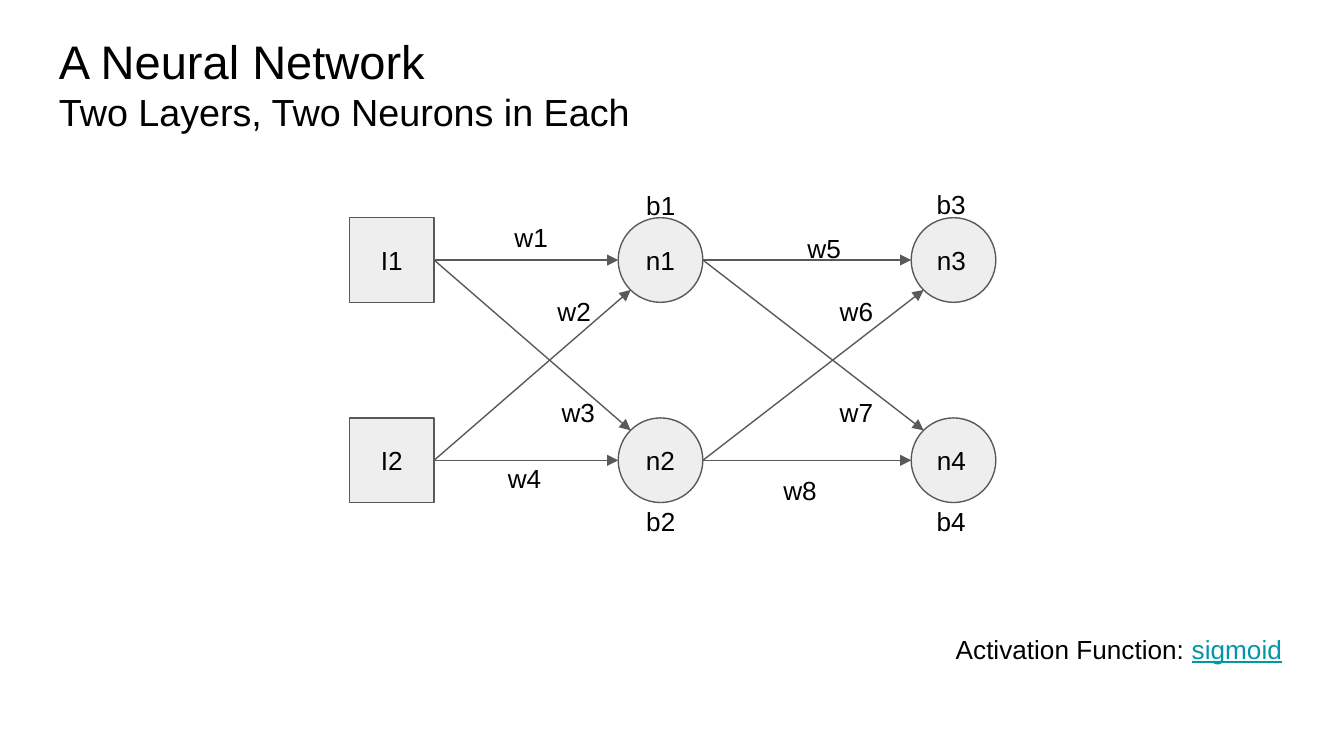
from lxml import etree
from pptx import Presentation
from pptx.dml.color import RGBColor
from pptx.enum.shapes import MSO_CONNECTOR, MSO_SHAPE
from pptx.enum.text import MSO_ANCHOR, PP_ALIGN
from pptx.oxml.ns import qn
from pptx.util import Inches, Pt

SQUARE, CIRCLE = MSO_SHAPE.RECTANGLE, MSO_SHAPE.OVAL
STRAIGHT = MSO_CONNECTOR.STRAIGHT
TOP, MIDDLE = MSO_ANCHOR.TOP, MSO_ANCHOR.MIDDLE
LEFT, CENTER = PP_ALIGN.LEFT, PP_ALIGN.CENTER
RIGHT_SIDE = 3

BLACK, GREY, PALE, TEAL = "000000", "595959", "EEEEEE", "0097A7"
WIDTH = 10
HEIGHT = WIDTH * 9 / 16
NODE = 0.63
COLUMNS = [2.6, 4.6, 6.78]
ROWS = [1.62, 3.11]
DIAGONAL = NODE / 2 * (1 - 0.5 ** 0.5)

TITLE = [[("A Neural Network", {"size": 25.2})],
         [("Two Layers, Two Neurons in Each", {"size": 20.2})]]
FOOTER = [[("Activation Function: ", {}),
           ("sigmoid", {"color": TEAL, "underline": True})]]
LAYERS = [(SQUARE, CENTER, ["I1", "I2"]),
          (CIRCLE, CENTER, ["n1", "n2"]),
          (CIRCLE, LEFT, ["n3", "n4"])]
LABELS = [
    (0.63, 0.47, [("w1", 3.73, 1.55), ("w2", 4.05, 2.1), ("w3", 4.08, 2.85), ("w4", 3.68, 3.34)]),
    (0.45, 0.33, [("b1", 4.71, 1.31), ("b2", 4.71, 3.66), ("b3", 6.87, 1.3), ("b4", 6.87, 3.66)]),
    (0.63, 0.3, [("w5", 5.91, 1.63), ("w6", 6.15, 2.1), ("w7", 6.15, 2.85), ("w8", 5.73, 3.43)]),
]


def rgb(value):
    return RGBColor.from_string(value)


def write(box, paragraphs, align=LEFT, anchor=TOP):
    frame = box.text_frame
    frame.word_wrap = True
    frame.vertical_anchor = anchor
    for side in ("left", "top", "right", "bottom"):
        setattr(frame, "margin_" + side, Inches(0.1))
    for index, spans in enumerate(paragraphs):
        para = frame.add_paragraph() if index else frame.paragraphs[0]
        para.alignment = align
        for text, changes in spans:
            style = {"size": 14, "color": BLACK, "name": "Arial", **changes}
            span = para.add_run()
            span.text = text
            span.font.color.rgb = rgb(style.pop("color"))
            style["size"] = Pt(style["size"])
            for name, value in style.items():
                setattr(span.font, name, value)


def add_text(page, place, paragraphs, **options):
    box = page.shapes.add_textbox(*map(Inches, place))
    write(box, paragraphs, **options)


def add_node(page, kind, align, label, column, row):
    node = page.shapes.add_shape(kind, *map(Inches, (COLUMNS[column], ROWS[row], NODE, NODE)))
    node.shadow.inherit = False
    node.fill.solid()
    node.fill.fore_color.rgb = rgb(PALE)
    node.line.color.rgb = rgb(GREY)
    node.line.width = Pt(0.75)
    write(node, [[(label, {})]], align=align, anchor=MIDDLE)
    return node


def add_arrow(page, source, column, start, end):
    begin_x, begin_y = COLUMNS[column] + NODE, ROWS[start] + NODE / 2
    end_x, end_y = COLUMNS[column + 1], ROWS[end] + NODE / 2
    if start != end:
        end_x += DIAGONAL
        end_y = ROWS[end] + (DIAGONAL if end > start else NODE - DIAGONAL)
    arrow = page.shapes.add_connector(STRAIGHT, *map(Inches, (begin_x, begin_y, end_x, end_y)))
    if column == 0:
        arrow.begin_connect(source, RIGHT_SIDE)
    arrow.line.color.rgb = rgb(GREY)
    arrow.line.width = Pt(0.75)
    etree.SubElement(arrow.line._get_or_add_ln(), qn("a:tailEnd"), type="triangle")
    etree.SubElement(arrow._element.spPr, qn("a:effectLst"))


def main():
    deck = Presentation()
    deck.slide_width, deck.slide_height = Inches(WIDTH), Inches(HEIGHT)
    page = deck.slides.add_slide(deck.slide_layouts[6])

    add_text(page, (0.34, 0.14, 9.32, 0.63), TITLE)
    nodes = [[add_node(page, kind, align, label, column, row) for row, label in enumerate(labels)]
             for column, (kind, align, labels) in enumerate(LAYERS)]
    for column, layer in enumerate(nodes[:-1]):
        for start, source in enumerate(layer):
            for end in range(len(ROWS)):
                add_arrow(page, source, column, start, end)
    for width, height, labels in LABELS:
        for label, left, top in labels:
            add_text(page, (left, top, width, height), [[(label, {})]])
    add_text(page, (6.67, 4.61, 3.31, 0.47), FOOTER, align=CENTER)
    deck.save("out.pptx")


if __name__ == "__main__":
    main()
